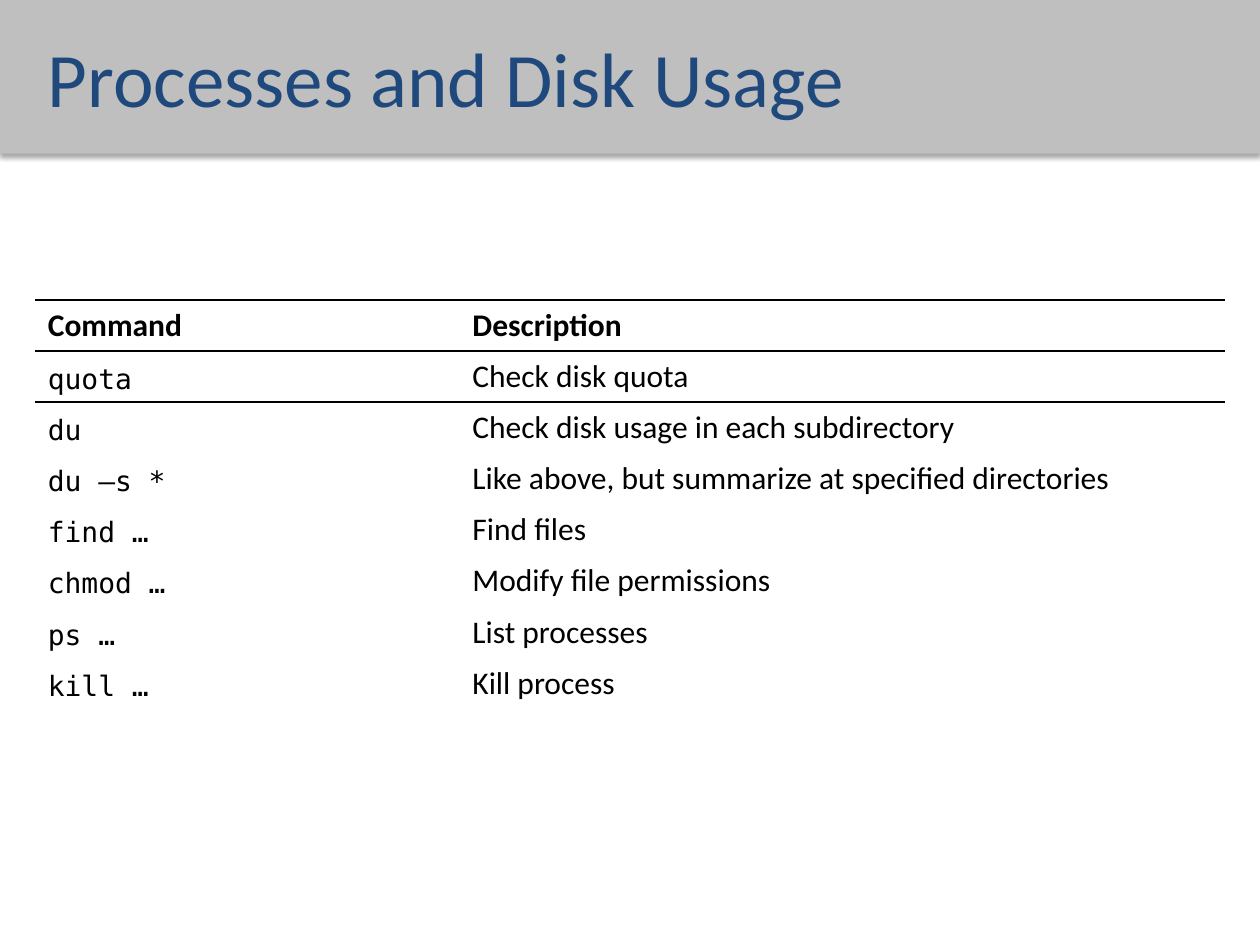
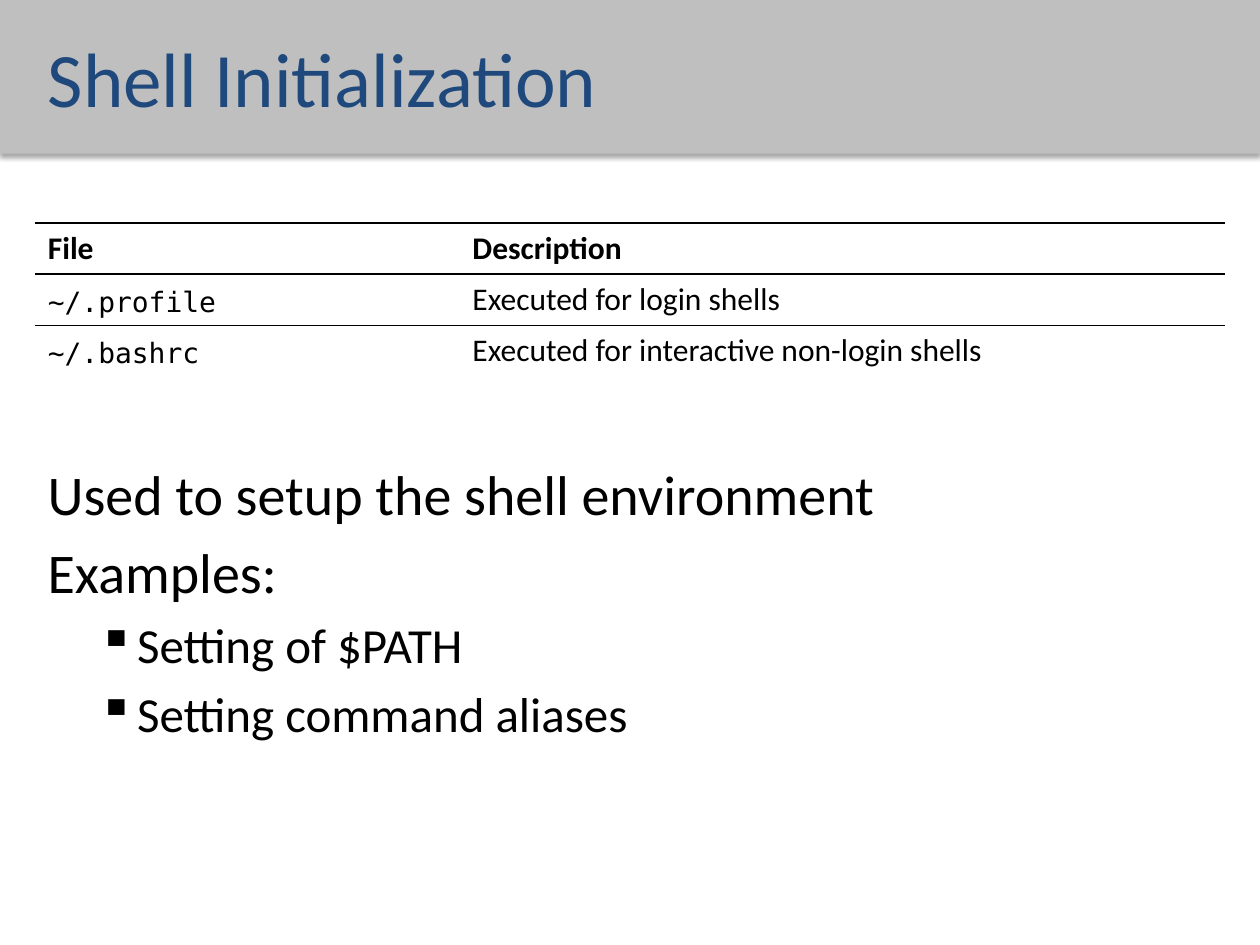
from lxml import etree
from pptx import Presentation
from pptx.dml.color import RGBColor
from pptx.enum import shapes, text
from pptx.oxml.ns import qn
from pptx.util import Inches, Pt

# Shared style
BODY_FONT, CODE_FONT = "Calibri", "DejaVu Sans Mono"
BLACK, BAND_GREY, TITLE_BLUE = "000000", "BFBFBF", "1F497D"
LEFT, WIDTH, BAND_HEIGHT = 0.28, 9.44, 1.22
COLUMNS, ROW_HEIGHT = (3.37, 6.07), 0.406
PLAIN_TABLE_STYLE = "{2D5ABB26-0587-4C30-8999-92F81FD0307C}"


def rgb(hex_color):
    return RGBColor.from_string(hex_color)


def add_node(parent, tag, **attributes):
    node = etree.SubElement(parent, qn(tag))
    for key, value in attributes.items():
        node.set(key, str(value))
    return node


def style(paragraph, size, color=BLACK, name=BODY_FONT, bold=False):
    font = paragraph.font
    font.name, font.size, font.bold = name, Pt(size), bold
    font.color.rgb = rgb(color)


def place(shape, left, top, width, height):
    shape.left, shape.top = Inches(left), Inches(top)
    shape.width, shape.height = Inches(width), Inches(height)


def add_band(slide):
    """Grey title band with a soft shadow, behind the title."""
    band = slide.shapes.add_shape(
        shapes.MSO_SHAPE.RECTANGLE, 0, 0, Inches(10), Inches(BAND_HEIGHT))
    band.fill.solid()
    band.fill.fore_color.rgb = rgb(BAND_GREY)
    band.line.fill.background()
    band.shadow.inherit = False
    effects = band.element.spPr.find(qn("a:effectLst"))
    shadow = add_node(effects, "a:outerShdw", blurRad=Pt(3.1), dist=Pt(1.8),
                      dir=90 * 60000, rotWithShape=0)
    add_node(add_node(shadow, "a:srgbClr", val=BLACK), "a:alpha", val=35000)
    slide.shapes.title.element.addprevious(band.element)


def add_titled_slide(deck, heading):
    slide = deck.slides.add_slide(deck.slide_layouts[5])
    title = slide.shapes.title
    place(title, LEFT, 0, WIDTH, BAND_HEIGHT)
    frame = title.text_frame
    frame.text = heading
    frame.vertical_anchor = text.MSO_ANCHOR.MIDDLE
    frame.auto_size = text.MSO_AUTO_SIZE.NONE
    frame.paragraphs[0].alignment = text.PP_ALIGN.LEFT
    style(frame.paragraphs[0], 44, TITLE_BLUE)
    add_band(slide)
    return slide


def rule_cell(cell):
    """Black rules above and below a cell."""
    properties = cell._tc.get_or_add_tcPr()
    for side in ("a:lnT", "a:lnB"):
        line = add_node(properties, side, w=Pt(1))
        add_node(add_node(line, "a:solidFill"), "a:srgbClr", val=BLACK)


def add_reference_table(slide, top, rows):
    """Two columns, a bold header, then a code term and what it means."""
    frame = slide.shapes.add_table(
        len(rows), len(COLUMNS), Inches(LEFT), Inches(top),
        Inches(WIDTH), Inches(ROW_HEIGHT * len(rows)))
    table = frame.table
    table.horz_banding = False
    next(frame.element.iter(qn("a:tableStyleId"))).text = PLAIN_TABLE_STYLE
    for column, width in zip(table.columns, COLUMNS):
        column.width = Inches(width)
    for r, row in enumerate(rows):
        table.rows[r].height = Inches(ROW_HEIGHT)
        for c, words in enumerate(row):
            cell = table.cell(r, c)
            cell.text = words
            paragraph = cell.text_frame.paragraphs[0]
            if r > 0 and c == 0:
                cell.vertical_anchor = text.MSO_ANCHOR.BOTTOM
                style(paragraph, 16, name=CODE_FONT)
            else:
                style(paragraph, 18, bold=r == 0)
            if r < 2:
                rule_cell(cell)
            cell.fill.background()


def add_notes_list(slide, top, height, items):
    """Plain statements (level 0) and bulleted examples (level 1)."""
    box = slide.shapes.add_textbox(
        Inches(LEFT), Inches(top), Inches(WIDTH), Inches(height))
    frame = box.text_frame
    frame.word_wrap = True
    for i, (level, words) in enumerate(items):
        paragraph = frame.paragraphs[0] if i == 0 else frame.add_paragraph()
        paragraph.text = words
        paragraph.level = level
        paragraph.space_before = Pt(5.6 if level else 6)
        style(paragraph, 28 if level else 32)
        if level:
            properties = paragraph._p.get_or_add_pPr()
            properties.set("marL", str(Inches(0.71)))
            properties.set("indent", str(Inches(-0.31)))
            bullet = etree.Element(qn("a:buChar"), char="▪")
            properties.find(qn("a:defRPr")).addprevious(bullet)


def main():
    deck = Presentation()
    deck.slide_width, deck.slide_height = Inches(10), Inches(7.5)

    # Commands
    usage = add_titled_slide(deck, "Processes and Disk Usage")
    add_reference_table(usage, 2.38, [
        ("Command", "Description"),
        ("quota", "Check disk quota"),
        ("du", "Check disk usage in each subdirectory"),
        ("du –s *", "Like above, but summarize at specified directories"),
        ("find …", "Find files"),
        ("chmod …", "Modify file permissions"),
        ("ps …", "List processes"),
        ("kill …", "Kill process"),
    ])

    # Start-up files
    startup = add_titled_slide(deck, "Shell Initialization")
    add_reference_table(startup, 1.77, [
        ("File", "Description"),
        ("~/.profile", "Executed for login shells"),
        ("~/.bashrc", "Executed for interactive non-login shells"),
    ])
    add_notes_list(startup, 3.6, 2.67, [
        (0, "Used to setup the shell environment"),
        (0, "Examples:"),
        (1, "Setting of $PATH"),
        (1, "Setting command aliases"),
    ])

    deck.save("out.pptx")


if __name__ == "__main__":
    main()
